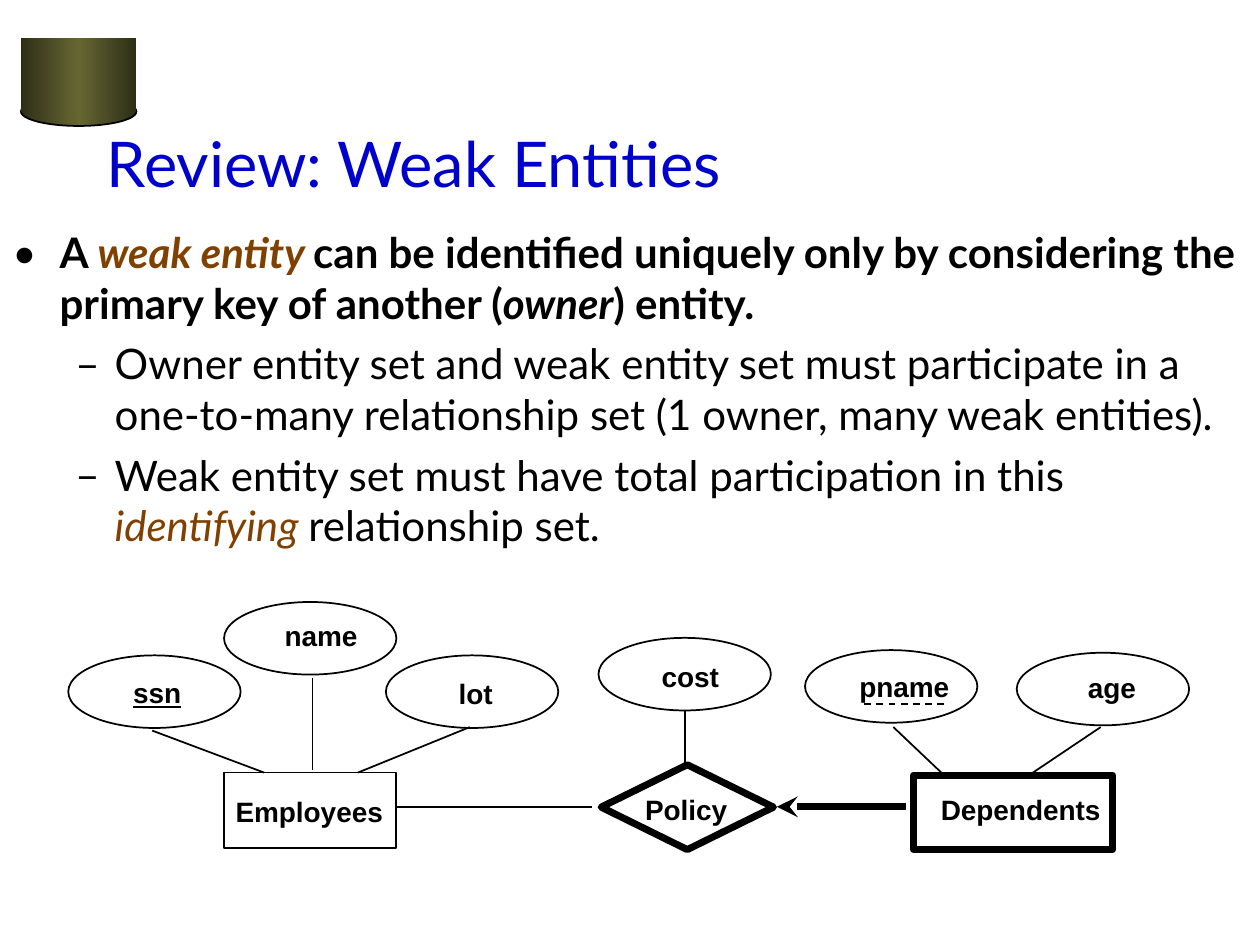
from copy import deepcopy

from lxml import etree
from pptx import Presentation
from pptx import util as u
from pptx.dml.color import RGBColor
from pptx.enum import dml, shapes, text
from pptx.oxml import ns

COLORS = {"ink": "000000", "title": "0000CC", "accent": "804000",
          "olive": "666633", "dark olive": "2F2F18"}


def color(name):
    return RGBColor.from_string(COLORS[name])


def add_element(parent, tag, **attributes):
    return etree.SubElement(parent, ns.qn(tag), attributes)


class Diagram:
    heading_font, label_font = "Lato", "Arial"
    thin, thick = 1, 4

    def __init__(self, slide):
        self.slide = slide

    def style(self, font, name, size, color_name="ink", bold=False):
        font.name, font.size, font.bold = name, u.Pt(size), bold
        font.color.rgb = color(color_name)

    def text_box(self, left, top, width, height, wrap=True):
        shape = self.slide.shapes.add_textbox(*map(u.Pt, (left, top, width, height)))
        shape.text_frame.word_wrap = wrap
        return shape.text_frame

    def title(self, words, *box):
        frame = self.text_box(*box)
        frame.vertical_anchor = text.MSO_ANCHOR.MIDDLE
        paragraph = frame.paragraphs[0]
        paragraph.text = words
        self.style(paragraph.font, self.heading_font, 36, "title")

    def bullets(self, items, *box):
        """Each item is a level and its runs: (words, colour, italic)."""
        frame = self.text_box(*box)
        for index, (level, runs) in enumerate(items):
            paragraph = frame.add_paragraph() if index else frame.paragraphs[0]
            paragraph.level = level
            margin, indent, mark = ((27, -27, "•"), (58.5, -22.5, "–"))[level]
            properties = paragraph._p.get_or_add_pPr()
            properties.set("marL", str(u.Pt(margin)))
            properties.set("indent", str(u.Pt(indent)))
            add_element(properties, "a:buFont", typeface=self.heading_font)
            add_element(properties, "a:buChar", char=mark)
            if index:
                paragraph.space_before = u.Pt(6)
            self.style(paragraph.font, self.heading_font, 24, bold=level == 0)
            for words, color_name, italic in runs:
                run = paragraph.add_run()
                run.text = words
                run.font.italic = italic
                run.font.color.rgb = color(color_name)

    def label(self, words, left, top, width, underline=False):
        frame = self.text_box(left, top, width, 26, wrap=False)
        frame.auto_size = text.MSO_AUTO_SIZE.SHAPE_TO_FIT_TEXT
        paragraph = frame.paragraphs[0]
        paragraph.text = words
        self.style(paragraph.font, self.label_font, 16, bold=True)
        if underline:
            paragraph.font.underline = True

    def outline(self, kind, left, top, width, height, weight=thin):
        shape = self.slide.shapes.add_shape(kind, *map(u.Pt, (left, top, width, height)))
        shape.shadow.inherit = False
        shape.fill.background()
        shape.line.color.rgb = color("ink")
        shape.line.width = u.Pt(weight)
        return shape

    def metal(self, kind, *box, edge=True):
        shape = self.outline(kind, *box)
        shape.fill.gradient()
        shape.fill.gradient_angle = 0
        first, second = shape.fill.gradient_stops
        first.color.rgb, second.color.rgb = color("dark olive"), color("olive")
        second.position = 0.5
        stops = shape._element.spPr.find(ns.qn("a:gradFill")).find(ns.qn("a:gsLst"))
        last = deepcopy(stops[0])
        last.set("pos", "100000")
        stops.append(last)
        if not edge:
            shape.line.fill.background()

    def line(self, x1, y1, x2, y2, weight=thin, dashed=False, arrow=False):
        connector = self.slide.shapes.add_connector(
            shapes.MSO_CONNECTOR.STRAIGHT, *map(u.Pt, (x1, y1, x2, y2)))
        connector.line.color.rgb = color("ink")
        connector.line.width = u.Pt(weight)
        if dashed:
            connector.line.dash_style = dml.MSO_LINE.DASH
        if arrow:
            add_element(connector.line._get_or_add_ln(), "a:tailEnd", type="stealth")
        add_element(connector._element.spPr, "a:effectLst")


def main():
    presentation = Presentation()
    presentation.slide_width, presentation.slide_height = u.Pt(720), u.Pt(540)
    slide = presentation.slides.add_slide(presentation.slide_layouts[6])
    diagram = Diagram(slide)
    kinds = shapes.MSO_SHAPE

    # Cylinder ornament
    diagram.metal(kinds.OVAL, 12, 55.5, 66, 16.5)
    diagram.metal(kinds.RECTANGLE, 12, 21.5, 66, 42.5, edge=False)

    # Title and definition
    diagram.title("Review: Weak Entities", 54, 48, 612, 90)
    diagram.bullets([
        (0, [("A ", "ink", False),
             ("weak entity ", "accent", True),
             ("can be identified uniquely only by considering the primary key "
              "of another (", "ink", False),
             ("owner", "ink", True),
             (") entity.", "ink", False)]),
        (1, [("Owner entity set and weak entity set must participate in a "
              "one-to-many relationship set (1 owner, many weak entities).",
              "ink", False)]),
        (1, [("Weak entity set must have total participation in this ", "ink", False),
             ("identifying ", "accent", True),
             ("relationship set.", "ink", False)]),
    ], 0, 126, 714, 390)

    # Attributes: ellipse corner, then label left, top and width
    attributes = [
        ("name", 128, 344, 155.5, 350, 57),
        ("ssn", 39, 374.5, 69, 382.5, 43),
        ("lot", 220.5, 374.5, 255, 383, 35),
        ("cost", 342, 364.5, 371, 373.5, 48),
        ("pname", 460, 371.5, 484, 379, 67),
        ("age", 581, 373, 614.5, 379.5, 43),
    ]
    for words, left, top, label_left, label_top, label_width in attributes:
        diagram.outline(kinds.OVAL, left, top, 98.5, 41.5)
        diagram.label(words, label_left, label_top, label_width,
                      underline=words == "ssn")
    diagram.line(539.5, 402.5, 491, 402.5, dashed=True)  # partial key

    # Entity sets and identifying relationship
    diagram.outline(kinds.RECTANGLE, 128, 441.5, 98.5, 43)
    diagram.outline(kinds.DIAMOND, 343.5, 437, 98.5, 48.5, diagram.thick)
    diagram.outline(kinds.RECTANGLE, 522, 443, 114, 42.5, diagram.thick)
    diagram.label("Employees", 127.5, 450.5, 99)
    diagram.label("Policy", 361.5, 449.5, 63)
    diagram.label("Dependents", 530.5, 449.5, 107)

    # Links from attributes to their owners
    for ends in [(178.5, 387.5, 178.5, 440), (87, 417.5, 151, 441.5),
                 (268.5, 415.5, 204.5, 441.5), (391.5, 405.5, 391.5, 438),
                 (510.5, 415.5, 539.5, 443), (629, 415.5, 588, 443)]:
        diagram.line(*ends)

    # Participation in the relationship
    diagram.line(227, 461, 338.5, 461)
    diagram.line(517.5, 461, 444, 461, diagram.thick, arrow=True)

    presentation.save("out.pptx")


if __name__ == "__main__":
    main()
